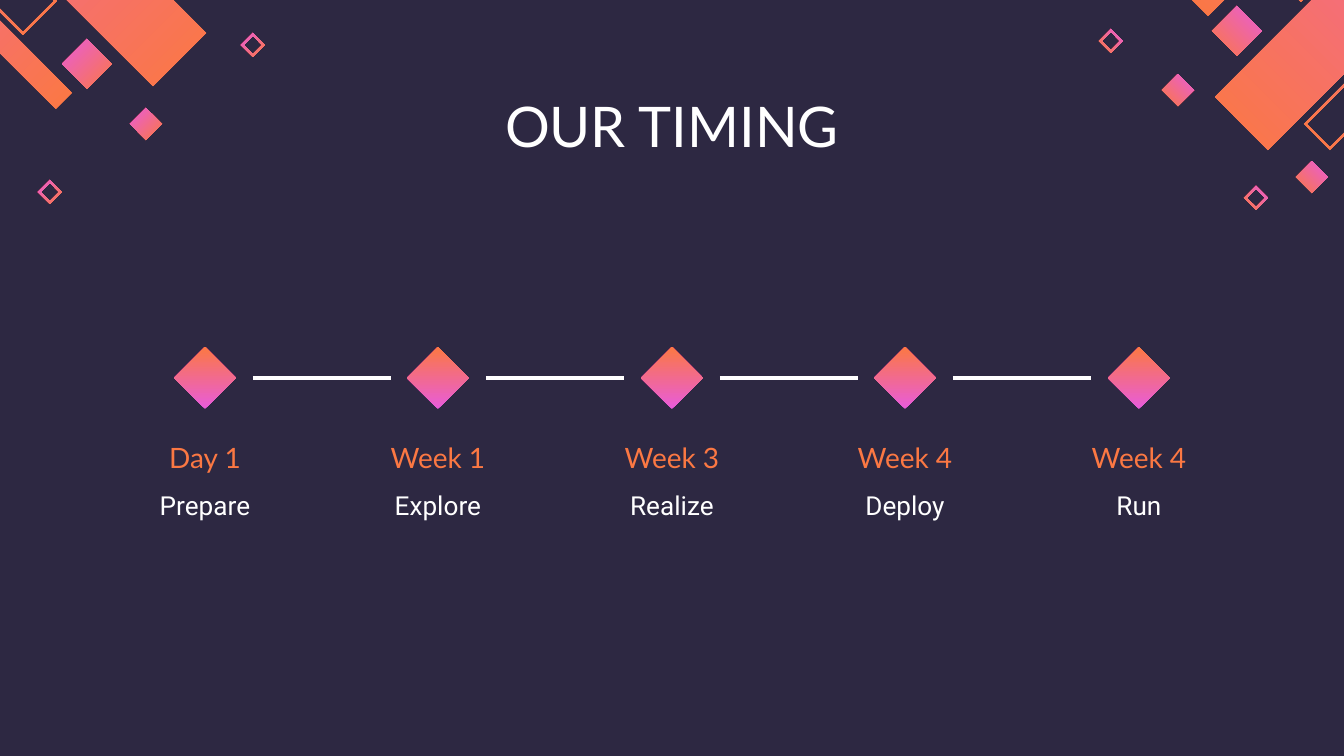
from lxml import etree
from pptx import Presentation
from pptx import util as u
from pptx.dml.color import RGBColor
from pptx.enum import shapes, text
from pptx.oxml.ns import qn

EMU_PER_PX = 6804
NAVY, WHITE, ORANGE, PINK = "2D2842", "FFFFFF", "FB7843", "E85CDB"
HEADING, BODY = "Lato", "Roboto"


def px(length):
    return u.Emu(length * EMU_PER_PX)


def color(value):
    return RGBColor.from_string(value)


class Deck:
    """Holds the slide and draws each kind of element in its style."""

    inset = 13
    frame = 3  # thickness of hollow shapes, measured at their tips

    def __init__(self, width, height):
        self.presentation = Presentation()
        self.presentation.slide_width = px(width)
        self.presentation.slide_height = px(height)
        layout = self.presentation.slide_layouts.get_by_name("Title Only")
        self.slide = self.presentation.slides.add_slide(layout)
        fill = self.slide.background.fill
        fill.solid()
        fill.fore_color.rgb = color(NAVY)

    def paint(self, shape, start, end, angle):
        shape.shadow.inherit = False
        shape.line.fill.background()
        shape.fill.gradient()
        shape.fill.gradient_angle = angle
        for stop, value in zip(shape.fill.gradient_stops, (start, end)):
            stop.color.rgb = color(value)

    def tilted(self, left, middle, down, up, hollow, angle):
        """Rectangle at 45 degrees, from its left tip and its two side runs."""
        def corners(inset):
            x, a, b = left + inset, down - inset, up - inset
            return [(x, middle), (x + a, middle + a),
                    (x + a + b, middle + a - b), (x + b, middle - b)]

        outer = corners(0)
        builder = self.slide.shapes.build_freeform(*outer[0], scale=EMU_PER_PX)
        builder.add_line_segments(outer[1:], close=True)
        if hollow:
            inner = corners(self.frame)[::-1]
            builder.move_to(*inner[0])
            builder.add_line_segments(inner[1:], close=True)
        self.paint(builder.convert_to_shape(), ORANGE, PINK, angle)

    def diamond(self, center, middle, size):
        shape = self.slide.shapes.add_shape(
            shapes.MSO_SHAPE.DIAMOND, px(center - size // 2),
            px(middle - size // 2), px(size), px(size))
        self.paint(shape, PINK, ORANGE, 90)

    def line(self, left, right, y):
        connector = self.slide.shapes.add_connector(
            shapes.MSO_CONNECTOR.STRAIGHT, px(left), px(y), px(right), px(y))
        connector.line.color.rgb = color(WHITE)
        connector.line.width = u.Pt(2.25)
        etree.SubElement(connector._element.spPr, qn("a:effectLst"))

    def set_text(self, shape, words, font, size, value):
        frame = shape.text_frame
        frame.text = words
        frame.word_wrap = True
        frame.auto_size = text.MSO_AUTO_SIZE.NONE
        frame.vertical_anchor = text.MSO_ANCHOR.TOP
        frame.margin_left = frame.margin_right = px(self.inset)
        frame.margin_top = frame.margin_bottom = px(self.inset)
        paragraph = frame.paragraphs[0]
        paragraph.alignment = text.PP_ALIGN.CENTER
        paragraph.font.name = font
        paragraph.font.size = u.Pt(size)
        paragraph.font.color.rgb = color(value)
        return paragraph

    def title(self, words, left, top, width, height):
        shape = self.slide.shapes.title
        shape.left, shape.top = px(left), px(top)
        shape.width, shape.height = px(width), px(height)
        self.set_text(shape, words, HEADING, 30, WHITE)

    def label(self, words, center, top, width, height, font, size, value):
        box = self.slide.shapes.add_textbox(
            px(center - width // 2), px(top), px(width), px(height))
        return self.set_text(box, words, font, size, value)


def main():
    deck = Deck(1344, 756)

    # Corner ornaments: left tip x, y, run down, run up, hollow
    left_corner = [
        (-199, -266, 352, 53, False), (-239, -227, 262, 34, True),
        (-259, -206, 315, 16, False), (241, 45, 12, 12, True),
        (62, 64, 25, 25, False), (130, 124, 16, 16, False),
        (38, 192, 12, 12, True)]
    right_corner = [
        (1215, 97, 53, 352, False), (1267, -32, 34, 262, True),
        (1192, 0, 16, 316, False), (1304, 124, 26, 300, True),
        (1296, 177, 16, 16, False), (1244, 198, 12, 12, True),
        (1099, 41, 12, 12, True), (1212, 31, 25, 25, False),
        (1162, 90, 16, 16, False)]
    for ornaments, angle in ((left_corner, 135), (right_corner, 45)):
        for ornament in ornaments:
            deck.tilted(*ornament, angle)

    deck.title("OUR TIMING", 88, 79, 1168, 85)

    # Timeline: evenly spaced milestones joined by lines
    milestones = [("Day 1", "Prepare"), ("Week 1", "Explore"),
                  ("Week 3", "Realize"), ("Week 4", "Deploy"),
                  ("Week 4", "Run")]
    first, last, axis = 205, 1139, 378
    gaps = len(milestones) - 1
    for index, (date, step) in enumerate(milestones):
        center = first + (last - first) * index // gaps
        deck.diamond(center, axis, 62)
        if index < gaps:
            deck.line(center + 48, center + 186, axis)
        heading = deck.label(date, center, 422, 200, 58, HEADING, 15, ORANGE)
        heading.line_spacing = 1.15
        deck.label(step, center, 476, 200, 89, BODY, 14, WHITE)

    deck.presentation.save("out.pptx")


if __name__ == "__main__":
    main()
